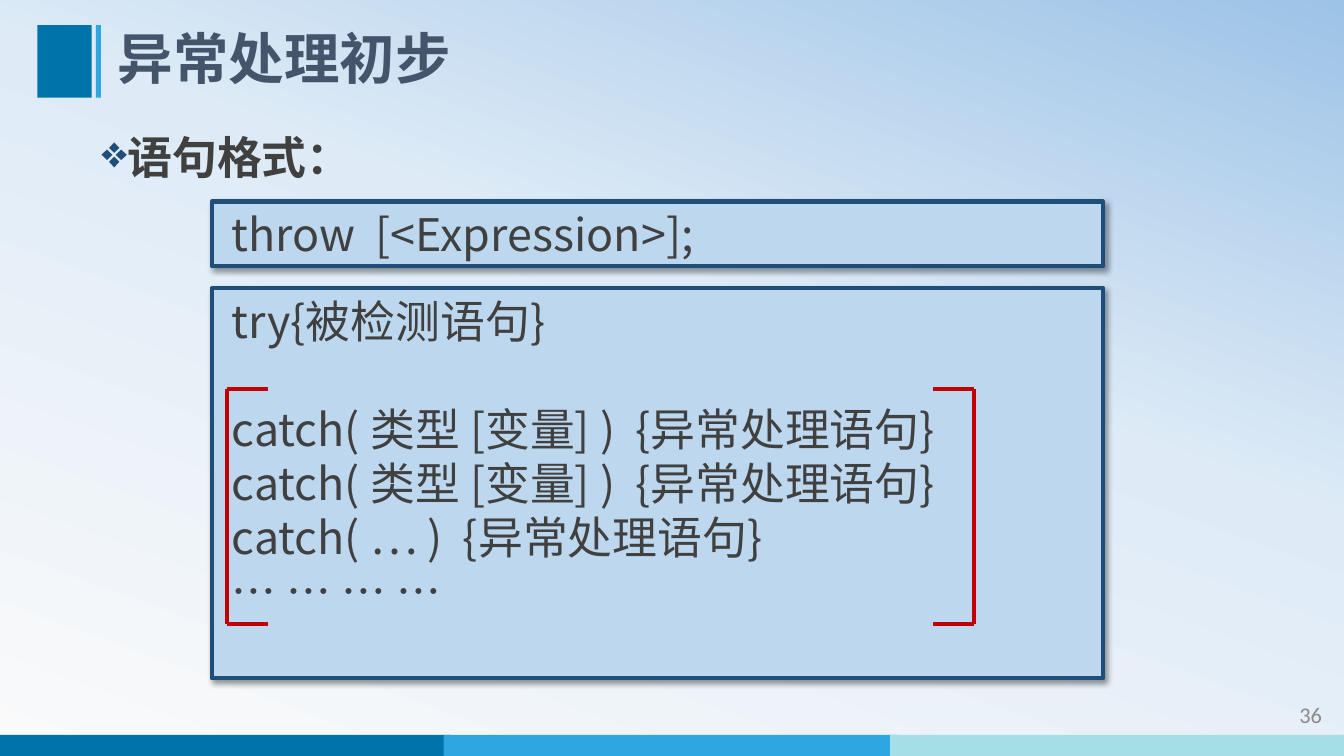
import dataclasses

import lxml.etree
import pptx
import pptx.dml.color
import pptx.enum.shapes
import pptx.enum.text
import pptx.oxml
import pptx.oxml.ns
import pptx.util

Inches, Pt = pptx.util.Inches, pptx.util.Pt
MSO_SHAPE = pptx.enum.shapes.MSO_SHAPE
PP_ALIGN = pptx.enum.text.PP_ALIGN
MSO_ANCHOR = pptx.enum.text.MSO_ANCHOR
qn = pptx.oxml.ns.qn


@dataclasses.dataclass(frozen=True)
class Theme:
    font: str = "Noto Sans CJK SC"
    number_font: str = "Calibri"
    bands: tuple = ("0073AB", "2EA7E0", "A5DEE4")
    gradient: tuple = ((0, "FAFAFA"), (58, "DEEBF7"), (100, "9DC3E6"))
    title: str = "44546A"
    text: str = "404040"
    number: str = "8B8B8B"
    panel: str = "BDD7EE"
    edge: str = "1F4E79"
    bracket: str = "C00000"
    title_size: float = 39.6
    body_size: float = 32
    number_size: float = 16
    code_pitch: float = 38.6
    line_width: float = 3


THEME = Theme()
THROW = [" throw  [<Expression>];"]
TRY = [" try{被检测语句}"]
CATCHES = [
    " catch( 类型 [变量] )  {异常处理语句}",
    " catch( 类型 [变量] )  {异常处理语句}",
    " catch( … )  {异常处理语句}",
    " … … … …",
]


def rgb(color):
    return pptx.dml.color.RGBColor.from_string(color)


def add_run(p, text, size, color, font=THEME.font, bold=False):
    r = p.add_run()
    r.text = text
    r.font.size, r.font.bold, r.font.name = Pt(size), bold, font
    r.font.color.rgb = rgb(color)
    ea = lxml.etree.SubElement(r.font._element, qn("a:ea"))
    ea.set("typeface", font)


def add_rect(s, x, y, w, h, color):
    sp = s.shapes.add_shape(MSO_SHAPE.RECTANGLE, Inches(x), Inches(y), Inches(w), Inches(h))
    sp.shadow.inherit = False
    sp.fill.solid()
    sp.fill.fore_color.rgb = rgb(color)
    sp.line.fill.background()
    return sp


def add_text_box(s, x, y, w, h):
    tf = s.shapes.add_textbox(Inches(x), Inches(y), Inches(w), Inches(h)).text_frame
    tf.word_wrap = True
    return tf


def set_background(s):
    stops = "".join(
        f'<a:gs pos="{pos * 1000}"><a:srgbClr val="{color}"/></a:gs>'
        for pos, color in THEME.gradient
    )
    bg = pptx.oxml.parse_xml(
        f'<p:bg {pptx.oxml.ns.nsdecls("p", "a")}><p:bgPr><a:gradFill rotWithShape="1">'
        f'<a:gsLst>{stops}</a:gsLst><a:lin ang="{290 * 60000}" scaled="0"/></a:gradFill>'
        "<a:effectLst/></p:bgPr></p:bg>"
    )
    s.element.cSld.insert(0, bg)


def add_footer(s, y, h):
    for x, color in zip((-0.03, 4.4, 8.83), THEME.bands):
        add_rect(s, x, y, 4.5, h, color)
    p = add_text_box(s, 11.62, y - 0.38, 1.59, 0.4).paragraphs[0]
    p.alignment = PP_ALIGN.RIGHT
    add_run(p, "36", THEME.number_size, THEME.number, THEME.number_font)


def add_header(s, x, y, h):
    add_rect(s, x, y, 0.54, h, THEME.bands[0])
    add_rect(s, x + 0.58, y, 0.05, h, THEME.bands[1])
    title = s.shapes.title
    title.left, title.top = Inches(x + 0.7), Inches(y)
    title.width, title.height = Inches(10.86), Inches(h)
    tf = title.text_frame
    tf.vertical_anchor = MSO_ANCHOR.MIDDLE
    p = tf.paragraphs[0]
    p.alignment, p.line_spacing = PP_ALIGN.LEFT, 0.9
    add_run(p, "异常处理初步", THEME.title_size, THEME.title, bold=True)


def add_bullet_heading(s, x, y, w, h):
    p = add_text_box(s, x, y, w, h).paragraphs[0]
    pPr = p._p.get_or_add_pPr()
    pPr.set("marL", str(Inches(0.25)))
    pPr.set("indent", str(-Inches(0.25)))
    color = lxml.etree.SubElement(pPr, qn("a:buClr"))
    lxml.etree.SubElement(color, qn("a:srgbClr")).set("val", THEME.edge)
    lxml.etree.SubElement(pPr, qn("a:buChar")).set("char", "❖")
    add_run(p, "语句格式：", THEME.body_size, THEME.text, bold=True)


def add_drop_shadow(sp):
    effects = sp._element.spPr.find(qn("a:effectLst"))
    effects.append(pptx.oxml.parse_xml(
        f'<a:outerShdw {pptx.oxml.ns.nsdecls("a")} blurRad="{Pt(4)}" dist="{Pt(3)}" '
        f'dir="{45 * 60000}" algn="tl" rotWithShape="0">'
        '<a:srgbClr val="000000"><a:alpha val="40000"/></a:srgbClr></a:outerShdw>'
    ))


def add_code_panel(s, x, y, w, h, *blocks):
    """Framed code; each block of lines after the first follows a one-line gap."""
    sp = add_rect(s, x, y, w, h, THEME.panel)
    sp.line.color.rgb = rgb(THEME.edge)
    sp.line.width = Pt(THEME.line_width)
    add_drop_shadow(sp)
    tf = sp.text_frame
    tf.word_wrap, tf.vertical_anchor = True, MSO_ANCHOR.TOP
    p = tf.paragraphs[0]
    for b, block in enumerate(blocks):
        for i, line in enumerate(block):
            if b or i:
                p = tf.add_paragraph()
            p.alignment, p.line_spacing = PP_ALIGN.LEFT, Pt(THEME.code_pitch)
            if b and not i:
                p.space_before = Pt(THEME.code_pitch)
            add_run(p, line, THEME.body_size, THEME.text)


def add_bracket(s, x, top, bottom, arm):
    """Square bracket with its spine at x; a negative arm opens to the left."""
    corners = [(x + arm, top), (x, top), (x, bottom), (x + arm, bottom)]
    for start, end in zip(corners, corners[1:]):
        line = s.shapes.add_connector(
            pptx.enum.shapes.MSO_CONNECTOR.STRAIGHT, *map(Inches, start + end))
        line.line.color.rgb = rgb(THEME.bracket)
        line.line.width = Pt(THEME.line_width)
        lxml.etree.SubElement(line._element.spPr, qn("a:effectLst"))


def main():
    prs = pptx.Presentation()
    prs.slide_width, prs.slide_height = Inches(13.33), Inches(7.5)
    s = prs.slides.add_slide(prs.slide_layouts[5])
    set_background(s)
    add_footer(s, 7.29, 0.21)
    add_header(s, 0.37, 0.25, 0.72)
    add_bullet_heading(s, 0.91, 1.24, 10.88, 0.9)
    add_code_panel(s, 2.1, 2, 8.84, 0.64, THROW)
    add_code_panel(s, 2.1, 2.86, 8.84, 3.87, TRY, CATCHES)
    add_bracket(s, 2.25, 3.86, 6.19, 0.41)
    add_bracket(s, 9.66, 3.86, 6.19, -0.41)
    prs.save("out.pptx")


if __name__ == "__main__":
    main()
